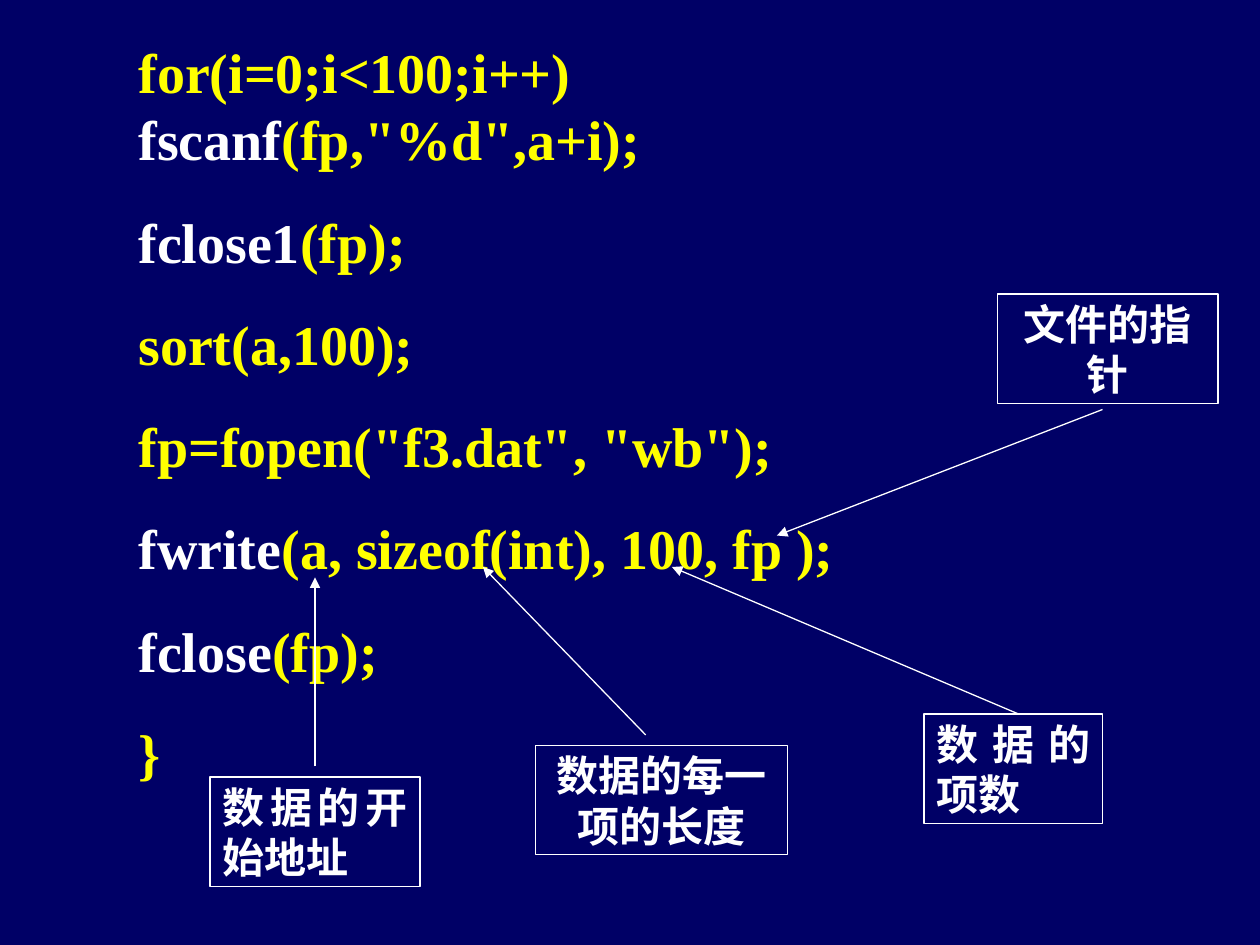
"""Build a slide that explains the arguments of fwrite."""
from typing import NamedTuple

from lxml import etree
from pptx import Presentation
from pptx.dml.color import RGBColor
from pptx.enum.shapes import MSO_CONNECTOR, MSO_SHAPE
from pptx.enum.text import PP_ALIGN
from pptx.oxml.ns import qn
from pptx.util import Pt

LEFT, MID, JUST = PP_ALIGN.LEFT, PP_ALIGN.CENTER, PP_ALIGN.JUSTIFY
RECT, LINE = MSO_SHAPE.RECTANGLE, MSO_CONNECTOR.STRAIGHT
NAVY, WHITE, GOLD = "000066", "FFFFFF", "FFFF00"
FONT = "Times New Roman"


class Label(NamedTuple):
    text: str
    left: float
    top: float
    width: float
    align: PP_ALIGN
    tail: tuple[float, float]
    head: tuple[float, float]


CODE = [
    [("for(i=0;i<100;i++) ", GOLD), ("fscanf", WHITE), ('(fp,"%d",a+i);', GOLD)],
    [("fclose1", WHITE), ("(fp);", GOLD)],
    [("sort(a,100);", GOLD)],
    [('fp=fopen("f3.dat", "wb");', GOLD)],
    [("fwrite", WHITE), ("(a, sizeof(int), 100, fp );", GOLD)],
    [("fclose", WHITE), ("(fp);", GOLD)],
    [("}", GOLD)],
]
LABELS = [
    Label("数据的开始地址", 120, 444, 120, JUST, (180, 438), (180, 330)),
    Label("数据的每一项的长度", 306, 426, 144, MID, (369, 420), (276, 324)),
    Label("数据的项数", 528, 408, 102, JUST, (582, 408), (384, 324)),
    Label("文件的指针", 570, 168, 126, MID, (630, 234), (444, 306)),
]


def paint(fill, shade: str) -> None:
    """Fill with one solid colour."""
    fill.solid()
    fill.fore_color.rgb = RGBColor.from_string(shade)


def write(para, text: str, *, size: float, shade: str = WHITE) -> None:
    """Add a bold run to a paragraph."""
    run = para.add_run()
    run.text = text
    run.font.name, run.font.size, run.font.bold = FONT, Pt(size), True
    paint(run.font.fill, shade)


def add_code(shapes) -> None:
    """Write the code lines in one text box."""
    frame = shapes.add_textbox(Pt(72), Pt(18), Pt(498), Pt(435)).text_frame
    frame.word_wrap = True
    for i, parts in enumerate(CODE):
        para = frame.add_paragraph() if i else frame.paragraphs[0]
        para.space_before = Pt(20 if i else 0)
        para.alignment = LEFT
        for text, shade in parts:
            write(para, text, size=32, shade=shade)


def add_box(shapes, label: Label) -> None:
    """Draw the framed text of a label."""
    box = shapes.add_shape(RECT, Pt(label.left), Pt(label.top), Pt(label.width), Pt(62.5))
    box.shadow.inherit = False
    paint(box.fill, NAVY)
    paint(box.line.fill, WHITE)
    box.line.width = Pt(0.75)
    box.text_frame.word_wrap = True
    para = box.text_frame.paragraphs[0]
    para.alignment = label.align
    write(para, label.text, size=24)


def add_arrow(shapes, label: Label) -> None:
    """Draw the arrow from a label to its argument."""
    ends = [Pt(n) for n in label.tail + label.head]
    arrow = shapes.add_connector(LINE, *ends)
    paint(arrow.line.fill, WHITE)
    arrow.line.width = Pt(0.75)
    etree.SubElement(arrow.line._get_or_add_ln(), qn("a:tailEnd"), type="triangle")
    etree.SubElement(arrow._element.spPr, qn("a:effectLst"))


def main() -> None:
    """Build and save the slide."""
    deck = Presentation()
    deck.slide_width, deck.slide_height = Pt(720), Pt(540)
    slide = deck.slides.add_slide(deck.slide_layouts[6])
    paint(slide.background.fill, NAVY)
    add_code(slide.shapes)
    for draw in (add_box, add_arrow):
        for label in LABELS:
            draw(slide.shapes, label)
    deck.save("out.pptx")


if __name__ == "__main__":
    main()
